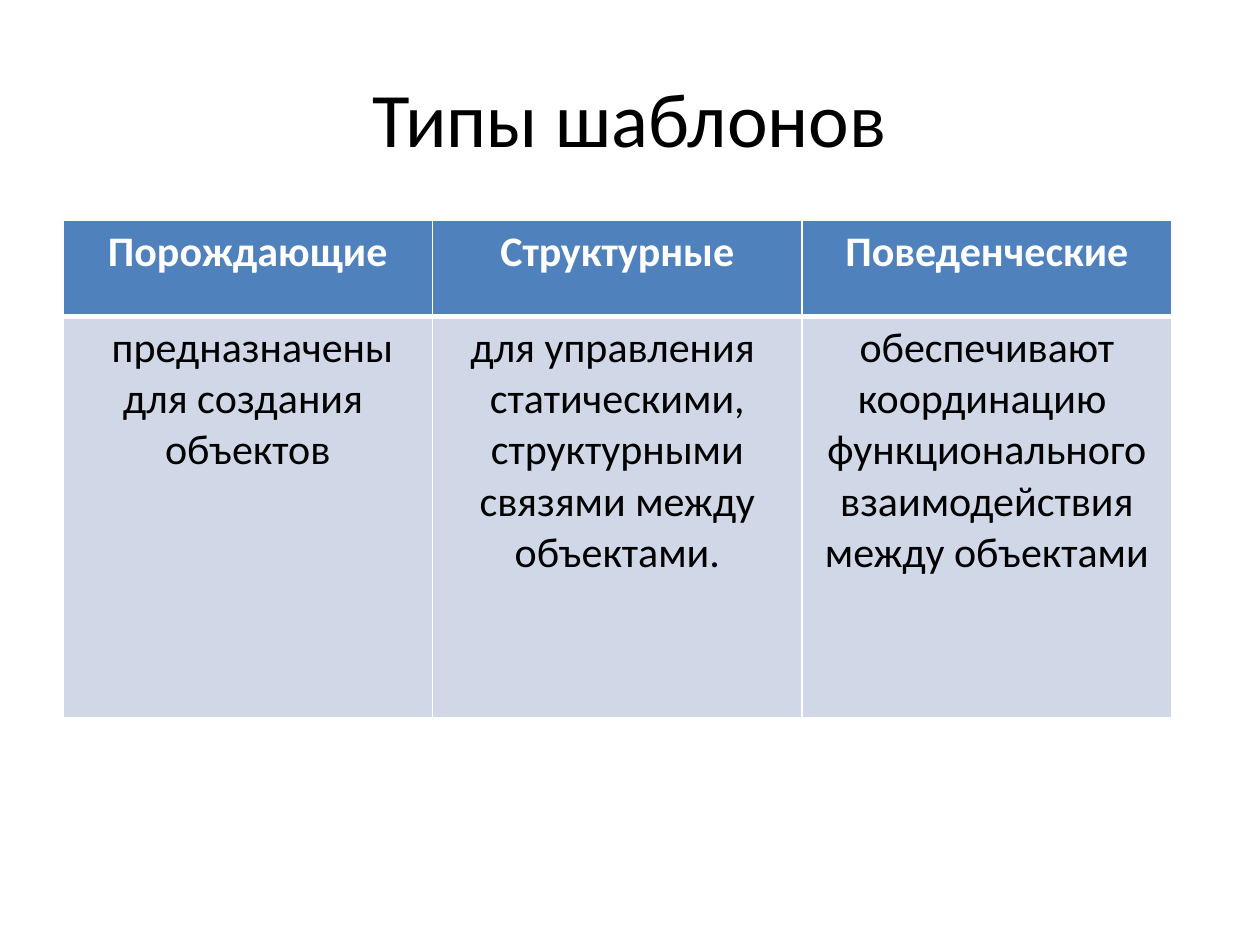
from lxml import etree
from pptx import Presentation
from pptx.dml.color import RGBColor
from pptx.enum.text import MSO_ANCHOR, PP_ALIGN
from pptx.oxml.ns import qn
from pptx.util import Pt

CENTER = PP_ALIGN.CENTER
MIDDLE = MSO_ANCHOR.MIDDLE
TOP = MSO_ANCHOR.TOP
COLORS = {"white": "FFFFFF", "black": "000000", "header": "4F81BD", "body": "D0D8E8"}
TITLE = {"name": "Calibri", "size": Pt(44), "bold": False}
HEADER = {"name": "Calibri", "size": Pt(24), "bold": True}
BODY = {**HEADER, "bold": False}
ROW_STYLES = [
    (HEADER, "white", "header", {"L": 1, "R": 1, "T": 1, "B": 3}),
    (BODY, "black", "body", {"L": 1, "R": 1, "T": 3, "B": 1}),
]
ROW_HEIGHTS = [54.72, 229.68]
COLUMNS = [
    ("Порождающие", [" предназначены для создания ", "объектов"]),
    ("Структурные", ["для управления ",
                     "статическими, структурными связями между объектами."]),
    ("Поведенческие", ["обеспечивают координацию ",
                       "функционального взаимодействия между объектами"]),
]


def rgb(name):
    return RGBColor.from_string(COLORS[name])


def write(tf, lines, fmt, color):
    for i, line in enumerate(lines):
        p = tf.add_paragraph() if i else tf.paragraphs[0]
        p.alignment = CENTER
        r = p.add_run()
        r.text = line
        for key, value in fmt.items():
            setattr(r.font, key, value)
        r.font.color.rgb = rgb(color)


def add_title(s, text):
    sp = s.shapes.title
    box = {"left": Pt(36), "top": Pt(21.6), "width": Pt(648), "height": Pt(90)}
    for key, value in box.items():
        setattr(sp, key, value)
    sp.text_frame.vertical_anchor = MIDDLE
    write(sp.text_frame, [text], TITLE, "black")


def set_borders(cell, widths):
    tcPr = cell._tc.get_or_add_tcPr()
    for side, width in widths.items():
        ln = etree.SubElement(tcPr, qn(f"a:ln{side}"), w=str(Pt(width)))
        fill = etree.SubElement(ln, qn("a:solidFill"))
        etree.SubElement(fill, qn("a:srgbClr"), val=COLORS["white"])


def add_pattern_table(s):
    frame = s.shapes.add_table(len(ROW_HEIGHTS), len(COLUMNS),
                               Pt(36), Pt(126), Pt(633.6), Pt(sum(ROW_HEIGHTS)))
    table = frame.table
    for row, height in zip(table.rows, ROW_HEIGHTS):
        row.height = Pt(height)
    for col, (heading, lines) in enumerate(COLUMNS):
        for row, content in enumerate([[heading], lines]):
            fmt, color, fill, borders = ROW_STYLES[row]
            cell = table.cell(row, col)
            cell.vertical_anchor = TOP
            set_borders(cell, borders)
            cell.fill.solid()
            cell.fill.fore_color.rgb = rgb(fill)
            write(cell.text_frame, content, fmt, color)


def main():
    prs = Presentation()
    prs.slide_width, prs.slide_height = Pt(720), Pt(540)
    s = prs.slides.add_slide(prs.slide_layouts[5])
    s.background.fill.solid()
    s.background.fill.fore_color.rgb = rgb("white")
    add_title(s, "Типы шаблонов")
    add_pattern_table(s)
    prs.save("out.pptx")


main()
